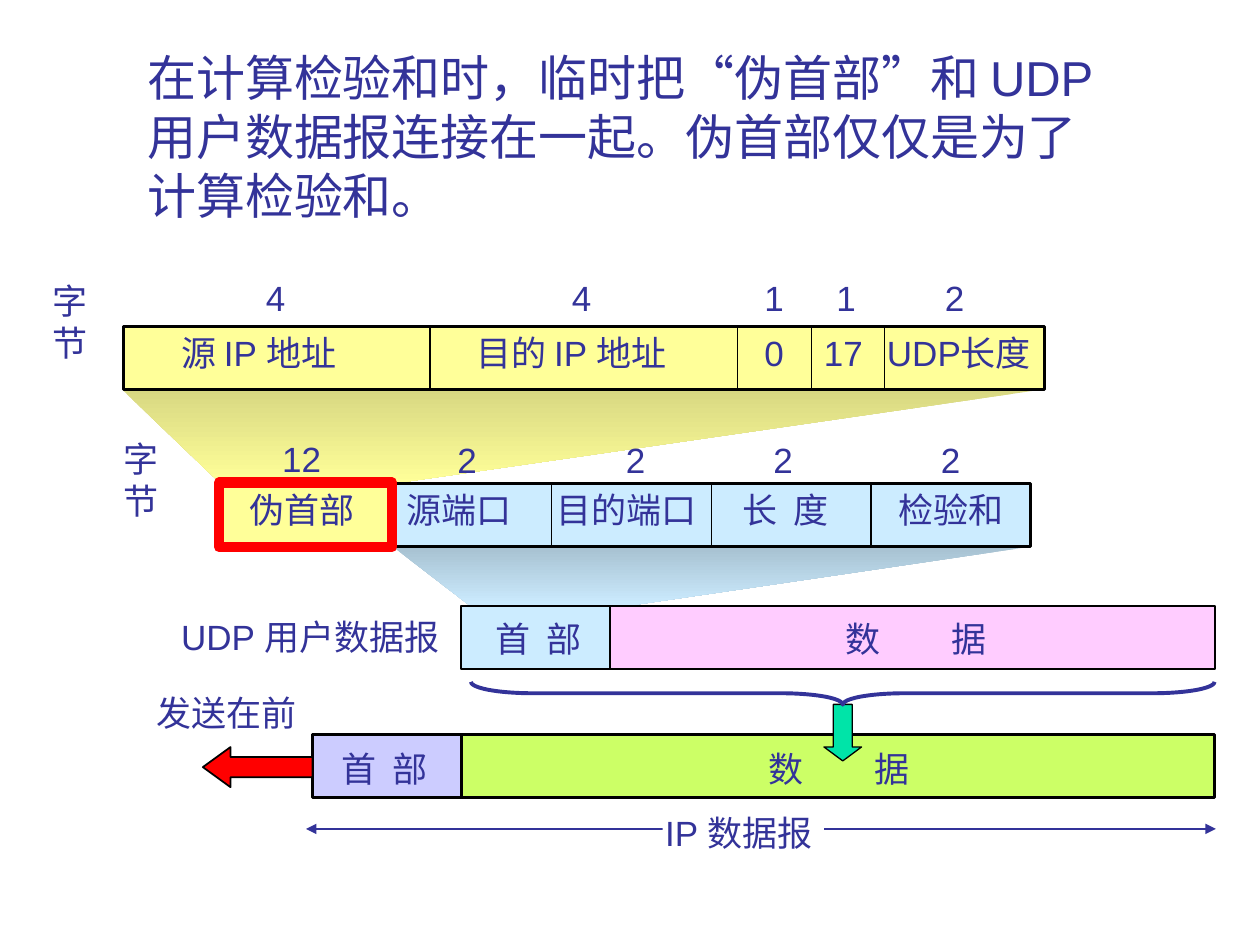
import pptx
import pptx.dml.color
import pptx.enum.dml
import pptx.enum.shapes
import pptx.enum.text
import pptx.oxml
import pptx.oxml.ns
import pptx.util
from dataclasses import dataclass

Cm = pptx.util.Cm
Shape = pptx.enum.shapes.MSO_SHAPE


@dataclass(frozen=True)
class Theme:
    ink: str = "333399"
    outline: str = "000000"
    paper: str = "FFFFFF"
    pseudo: str = "FFFF99"
    pseudo_shade: str = "D8D882"
    udp_header: str = "CCECFF"
    udp_shade: str = "A7C1D1"
    udp_data: str = "FFCCFF"
    ip_header: str = "CCCCFF"
    ip_data: str = "CCFF66"
    highlight: str = "FF0000"
    insert: str = "00E4A8"
    font: str = "Arial"
    note_font: str = "Roboto"
    label_size: int = 20
    title_size: int = 28


theme = Theme()
rgb = pptx.dml.color.RGBColor.from_string
presentation = pptx.Presentation()
presentation.slide_width, presentation.slide_height = Cm(25.4), Cm(19.05)
slide = presentation.slides.add_slide(presentation.slide_layouts[6])


def add_block(kind, left, top, width, height, fill, line, line_width):
    """Add a preset shape in cm; a fill or line of None is left out."""
    block = slide.shapes.add_shape(kind, Cm(left), Cm(top), Cm(width), Cm(height))
    block.shadow.inherit = False
    if fill:
        block.fill.solid()
        block.fill.fore_color.rgb = rgb(fill)
    else:
        block.fill.background()
    if line:
        block.line.color.rgb = rgb(line)
        block.line.width = pptx.util.Pt(line_width)
    else:
        block.line.fill.background()
    return block


def add_rule(x1, y1, x2, y2, color):
    rule = slide.shapes.add_connector(
        pptx.enum.shapes.MSO_CONNECTOR.STRAIGHT, Cm(x1), Cm(y1), Cm(x2), Cm(y2))
    rule.line.color.rgb = rgb(color)
    rule.line.width = pptx.util.Pt(0.75)
    properties = rule.element.spPr
    properties.append(properties.makeelement(pptx.oxml.ns.qn("a:effectLst"), {}))
    return rule


# Funnels from each detailed row down to the field it expands
funnels = [
    ([(7.92, 11.02), (20.78, 11.02), (12.62, 12.22), (9.45, 12.19)],
     theme.udp_shade, theme.udp_header),
    ([(2.46, 7.85), (21.03, 7.85), (7.92, 9.75), (4.45, 9.75)],
     theme.pseudo_shade, theme.pseudo),
]
for corners, shade, tint in funnels:
    points = [(Cm(x), Cm(y)) for x, y in corners]
    builder = slide.shapes.build_freeform(*points[0])
    builder.add_line_segments(points[1:], close=True)
    funnel = builder.convert_to_shape()
    funnel.shadow.inherit = False
    funnel.line.fill.background()
    funnel.fill.gradient()
    funnel.fill.gradient_angle = 270
    for stop, color in zip(funnel.fill.gradient_stops, (shade, tint)):
        stop.color.rgb = rgb(color)

# Bars of the four rows
bar_height = 1.27
pseudo_top, udp_top, datagram_top, ip_top = 6.58, 9.75, 12.22, 14.81
udp_left, udp_width = 7.9, 12.88
bars = [
    (2.49, pseudo_top, 18.57, theme.pseudo, 1.5),
    (udp_left, udp_top, udp_width, theme.udp_header, 1.5),
    (9.3, datagram_top, 3, theme.udp_header, 1),
    (12.3, datagram_top, 12.19, theme.udp_data, 1),
    (6.3, ip_top, 3, theme.ip_header, 1.5),
    (9.3, ip_top, 15.19, theme.ip_data, 1.5),
]
for left, top, width, fill, line_width in bars:
    add_block(Shape.RECTANGLE, left, top, width, bar_height, fill,
              theme.outline, line_width)
pseudo_field = add_block(Shape.RECTANGLE, 4.45, udp_top, 3.48, bar_height,
                         theme.pseudo, theme.outline, 1.5)
pseudo_field.line.dash_style = pptx.enum.dml.MSO_LINE.DASH

# Field dividers
dividers = [(x, pseudo_top) for x in (8.67, 14.86, 16.36, 17.83)]
dividers += [(udp_left + i * udp_width / 4, udp_top) for i in (1, 2, 3)]
for x, top in dividers:
    add_rule(x, top, x, top + bar_height, theme.outline)

# Extent of the IP datagram, with a gap for its label
extent = add_rule(6.17, 16.71, 24.51, 16.71, theme.ink)
extent_line = extent.line._get_or_add_ln()
for end in ("a:headEnd", "a:tailEnd"):
    extent_line.append(extent_line.makeelement(pptx.oxml.ns.qn(end), {"type": "triangle"}))
add_block(Shape.RECTANGLE, 13.36, 16.28, 3.25, 0.81, theme.paper, None, 0)

# Arrows and brace
send_arrow = add_block(Shape.LEFT_ARROW, 4.09, 15.06, 2.21, 0.81,
                       theme.highlight, theme.outline, 1)
send_arrow.adjustments[1] = 0.69
insert_arrow = add_block(Shape.DOWN_ARROW, 16.61, 14.2, 0.76, 1.14,
                         theme.insert, theme.outline, 0.75)
insert_arrow.adjustments[1] = 0.37
brace = add_block(Shape.LEFT_BRACE, 16.76, 6.48, 0.46, 14.99, None, theme.ink, 2.25)
brace.rotation = 270
brace.adjustments[0] = 2.7

# Labels by row top: text, left, width
label_rows = {
    5.51: [("字节", 0.81, 1.9)],
    5.44: [("4", 5.11, 0.89), ("4", 11.28, 0.89), ("1", 15.16, 0.89),
           ("1", 16.61, 0.89), ("2", 18.8, 0.89)],
    6.55: [("源 IP 地址", 3.4, 3.99), ("目的 IP 地址", 9.35, 4.7), ("0", 15.16, 0.89),
           ("17", 16.36, 1.3), ("UDP长度", 17.63, 3.58)],
    8.69: [("字节", 2.24, 1.9), ("12", 5.44, 1.3)],
    8.71: [("2", x, 0.89) for x in (8.97, 12.37, 15.34, 18.72)],
    9.73: [("伪首部", 4.78, 2.62), ("源端口", 7.95, 2.62), ("目的端口", 10.97, 3.33),
           ("长\t度", 14.71, 2.24), ("检验和", 17.86, 2.62)],
    12.29: [("UDP 用户数据报", 3.4, 5.89)],
    12.32: [("首\t部", 9.73, 2.24), ("数\t据", 16.79, 3.35)],
    13.82: [("发送在前", 2.9, 3.33)],
    14.94: [("首\t部", 6.63, 2.24), ("数\t据", 15.24, 3.35)],
    16.23: [("IP 数据报", 13.16, 3.66)],
}
tab_stops = {"长\t度": 1.03, "首\t部": 1.03, "数\t据": 2.14}
for top, labels in label_rows.items():
    for text, left, width in labels:
        frame = slide.shapes.add_textbox(Cm(left), Cm(top), Cm(width), Cm(1.12)).text_frame
        frame.word_wrap = text in tab_stops
        paragraph = frame.paragraphs[0]
        paragraph.text = text
        if text in tab_stops:
            frame.margin_right = 0
            properties = paragraph._p.get_or_add_pPr()
            tabs = properties.makeelement(pptx.oxml.ns.qn("a:tabLst"), {})
            tabs.append(tabs.makeelement(
                pptx.oxml.ns.qn("a:tab"), {"pos": str(Cm(tab_stops[text])), "algn": "l"}))
            properties.append(tabs)
        paragraph.font.name = theme.font
        paragraph.font.size = pptx.util.Pt(theme.label_size)
        paragraph.font.color.rgb = rgb(theme.ink)

# Frame around the pseudo header
add_block(Shape.RECTANGLE, 4.42, 9.73, 3.48, 1.3, None, theme.highlight, 6)

# Explanation
explanation = slide.shapes.add_textbox(Cm(2.72), Cm(0.84), Cm(19.84), Cm(3.81)).text_frame
explanation.word_wrap = True
paragraph = explanation.paragraphs[0]
for sentence, font_name in [
    ("在计算检验和时，临时把“伪首部”和 UDP 用户数据报连接在一起。", theme.font),
    ("伪首部仅仅是为了计算检验和。", theme.note_font),
]:
    run = paragraph.add_run()
    run.text = sentence
    run.font.name = font_name
    run.font.size = pptx.util.Pt(theme.title_size)
    run.font.color.rgb = rgb(theme.ink)

presentation.save("out.pptx")
